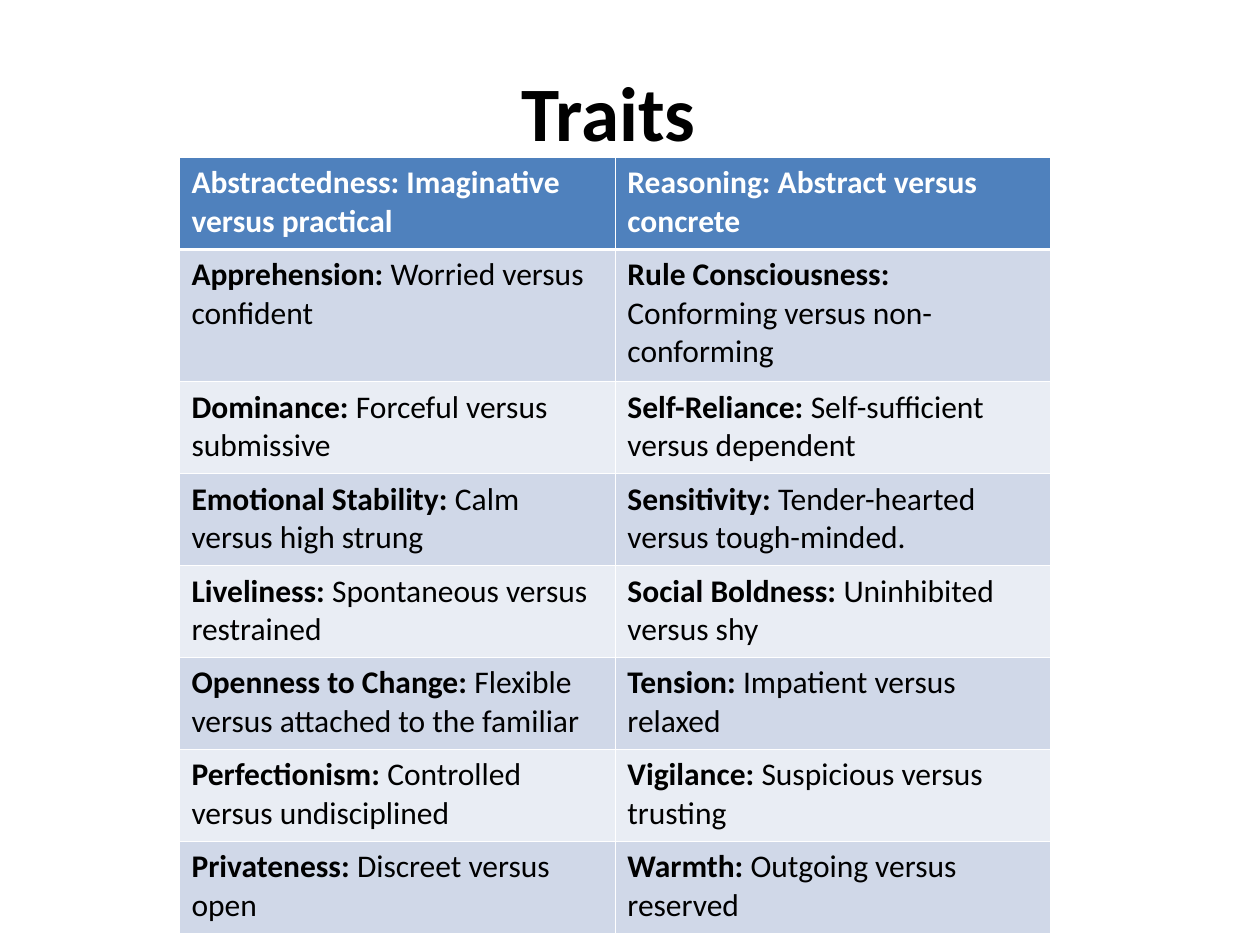
from dataclasses import dataclass

from lxml import etree
from pptx import Presentation
from pptx import util as u
from pptx.dml.color import RGBColor
from pptx.enum import text
from pptx.oxml import ns


@dataclass(frozen=True)
class Theme:
    font: str = "Calibri"
    title: int = 44
    body: int = 18
    ink: str = "000000"
    white: str = "FFFFFF"
    head: str = "4F81BD"
    bands: tuple = ("E9EDF4", "D0D8E8")
    thin: float = 0.45
    thick: float = 1.47


# Each trait: name and its two poles
TRAITS = [
    (("Abstractedness:", "Imaginative versus practical"),
     ("Reasoning:", "Abstract versus concrete")),
    (("Apprehension:", "Worried versus confident"),
     ("Rule Consciousness:", "Conforming versus non-conforming")),
    (("Dominance:", "Forceful versus submissive"),
     ("Self-Reliance:", "Self-sufficient versus dependent")),
    (("Emotional Stability:", "Calm versus high strung"),
     ("Sensitivity:", "Tender-hearted versus tough-minded.")),
    (("Liveliness:", "Spontaneous versus restrained"),
     ("Social Boldness:", "Uninhibited versus shy")),
    (("Openness to Change:", "Flexible versus attached to the familiar"),
     ("Tension:", "Impatient versus relaxed")),
    (("Perfectionism:", "Controlled versus undisciplined"),
     ("Vigilance:", "Suspicious versus trusting")),
    (("Privateness:", "Discreet versus open"),
     ("Warmth:", "Outgoing versus reserved")),
]


class Deck:
    def __init__(self, theme):
        self.theme = theme
        self.prs = Presentation()
        self.prs.slide_width, self.prs.slide_height = u.Inches(10), u.Inches(7.5)
        self.slide = self.prs.slides.add_slide(self.prs.slide_layouts[5])

    def style(self, font, size, color):
        font.name, font.size = self.theme.font, u.Pt(size)
        font.color.rgb = RGBColor.from_string(color)

    def title(self, words, *box):
        shape = self.slide.shapes.title
        shape.left, shape.top, shape.width, shape.height = map(u.Inches, box)
        shape.text_frame.vertical_anchor = text.MSO_ANCHOR.MIDDLE
        para = shape.text_frame.paragraphs[0]
        para.text = words
        para.alignment = text.PP_ALIGN.CENTER
        self.style(para.font, self.theme.title, self.theme.ink)
        para.font.bold = True

    def edge(self, cell, side, width):
        props = cell._tc.get_or_add_tcPr()
        line = etree.SubElement(props, ns.qn("a:ln" + side), w=str(u.Pt(width)))
        fill = etree.SubElement(line, ns.qn("a:solidFill"))
        etree.SubElement(fill, ns.qn("a:srgbClr"), val=self.theme.white)

    def cell(self, cell, row, name, poles):
        look = self.theme
        # Borders: a thicker rule parts the header from the body
        for side in "LRTB":
            rule = (row, side) in ((0, "B"), (1, "T"))
            self.edge(cell, side, look.thick if rule else look.thin)
        cell.fill.solid()
        shade = look.bands[row % 2] if row else look.head
        cell.fill.fore_color.rgb = RGBColor.from_string(shade)
        # Text: bold name, plain poles; the header is bold throughout
        para = cell.text_frame.paragraphs[0]
        self.style(para.font, look.body, look.ink if row else look.white)
        if row == 0:
            para.text = f"{name} {poles}"
            para.font.bold = True
            return
        for words, bold in ((name, True), (" " + poles, False)):
            run = para.add_run()
            run.text = words
            run.font.bold = bold

    def table(self, rows, heights, *box):
        frame = self.slide.shapes.add_table(
            len(rows), len(rows[0]), *map(u.Inches, box))
        grid = frame.table
        for row, (pairs, high) in enumerate(zip(rows, heights)):
            grid.rows[row].height = u.Inches(high)
            for col, pair in enumerate(pairs):
                self.cell(grid.cell(row, col), row, *pair)


def main():
    deck = Deck(Theme())
    # Heading
    deck.title("Traits", 0.33, 0.25, 9, 1.25)
    # Trait table: the second row holds three lines
    heights = [0.73] * len(TRAITS)
    heights[1] = 1.05
    deck.table(TRAITS, heights, 1.42, 1.25, 6.92, sum(heights))
    deck.prs.save("out.pptx")


if __name__ == "__main__":
    main()
